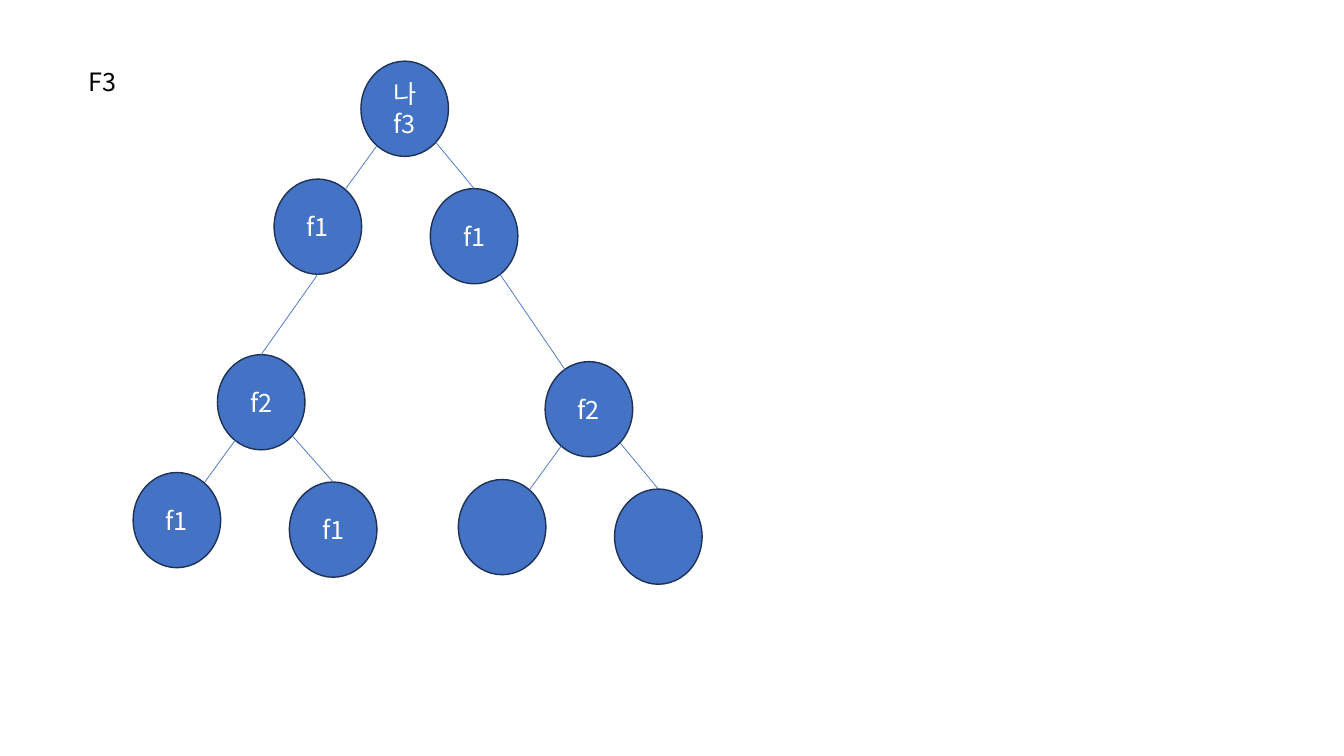
from pptx import Presentation
from pptx.dml.color import RGBColor
from pptx.enum.shapes import MSO_CONNECTOR, MSO_SHAPE
from pptx.enum.text import MSO_ANCHOR, MSO_AUTO_SIZE, PP_ALIGN
from pptx.oxml.ns import qn
from pptx.util import Pt
from lxml.etree import SubElement

COLORS = {"node": "4472C4", "outline": "1E3256", "link": "4472C4",
          "light": "FFFFFF", "dark": "000000"}
FONT = "Noto Sans CJK KR"
NODE_W, NODE_H = 62.5, 68
TOP, BOTTOM = (NODE_W / 2, 0), (NODE_W / 2, NODE_H)
LOWER_RIGHT = (53.5, 58)
SIBLING_GAP = 111.6
LEFT_DROP, RIGHT_DROP = 84.2, 91


def rgb(name):
    return RGBColor.from_string(COLORS[name])


def add_run(p, text, color):
    r = p.add_run()
    r.text = text
    r.font.size = Pt(18)
    r.font.name = FONT
    r.font.color.rgb = rgb(color)
    SubElement(r.font._element, qn("a:ea")).set("typeface", FONT)


def add_node(s, x, y, text):
    sp = s.shapes.add_shape(MSO_SHAPE.OVAL, Pt(x), Pt(y), Pt(NODE_W), Pt(NODE_H))
    sp.shadow.inherit = False
    sp.fill.solid()
    sp.fill.fore_color.rgb = rgb("node")
    sp.line.color.rgb = rgb("outline")
    sp.line.width = Pt(1)
    tf = sp.text_frame
    tf.word_wrap = True
    tf.vertical_anchor = MSO_ANCHOR.MIDDLE
    p = tf.paragraphs[0]
    p.alignment = PP_ALIGN.CENTER
    if text:
        add_run(p, text, "light")
    return sp


def add_link(s, parent, start, child, end):
    """Join two nodes; start and end are offsets from each node's top left."""
    cn = s.shapes.add_connector(
        MSO_CONNECTOR.STRAIGHT,
        parent.left + Pt(start[0]), parent.top + Pt(start[1]),
        child.left + Pt(end[0]), child.top + Pt(end[1]))
    cn.line.color.rgb = rgb("link")
    cn.line.width = Pt(0.5)
    SubElement(cn._element.spPr, qn("a:effectLst"))
    if end == TOP:
        cn.end_connect(child, 0)


def add_family(s, x, y, labels, left_shift=62, left_start=11.6):
    """Draw a parent at x, y with two children; return all three nodes."""
    parent_text, left_text, right_text = labels
    left_x = x - left_shift
    left = add_node(s, left_x, y + LEFT_DROP, left_text)
    right = add_node(s, left_x + SIBLING_GAP, y + RIGHT_DROP, right_text)
    parent = add_node(s, x, y, parent_text)
    add_link(s, parent, (left_start, 60.2), left, (51.2, 6.8))
    add_link(s, parent, LOWER_RIGHT, right, TOP)
    return parent, left, right


def add_label(s, x, y, w, h, text):
    tb = s.shapes.add_textbox(Pt(x), Pt(y), Pt(w), Pt(h))
    tf = tb.text_frame
    tf.word_wrap = True
    tf.auto_size = MSO_AUTO_SIZE.SHAPE_TO_FIT_TEXT
    add_run(tf.paragraphs[0], text, "dark")


def build_call_tree(s, x, y):
    _, left, right = add_family(s, x, y, ("나 f3", "f1", "f1"))
    left_f2, _, _ = add_family(s, x - 102.5, y + 209.6, ("f2", "f1", "f1"),
                               left_shift=60.2, left_start=13.4)
    right_f2, _, _ = add_family(s, x + 131.6, y + 214.6, ("f2", "", ""))
    add_link(s, right, (48.4, 59.2), right_f2, (18.2, 11.6))
    add_link(s, left, BOTTOM, left_f2, TOP)


def main():
    prs = Presentation()
    prs.slide_width, prs.slide_height = Pt(960), Pt(540)
    s = prs.slides.add_slide(prs.slide_layouts[6])
    add_label(s, 56.2, 43.9, 79.2, 29, "F3")
    build_call_tree(s, 257.8, 43.7)
    prs.save("out.pptx")


if __name__ == "__main__":
    main()
